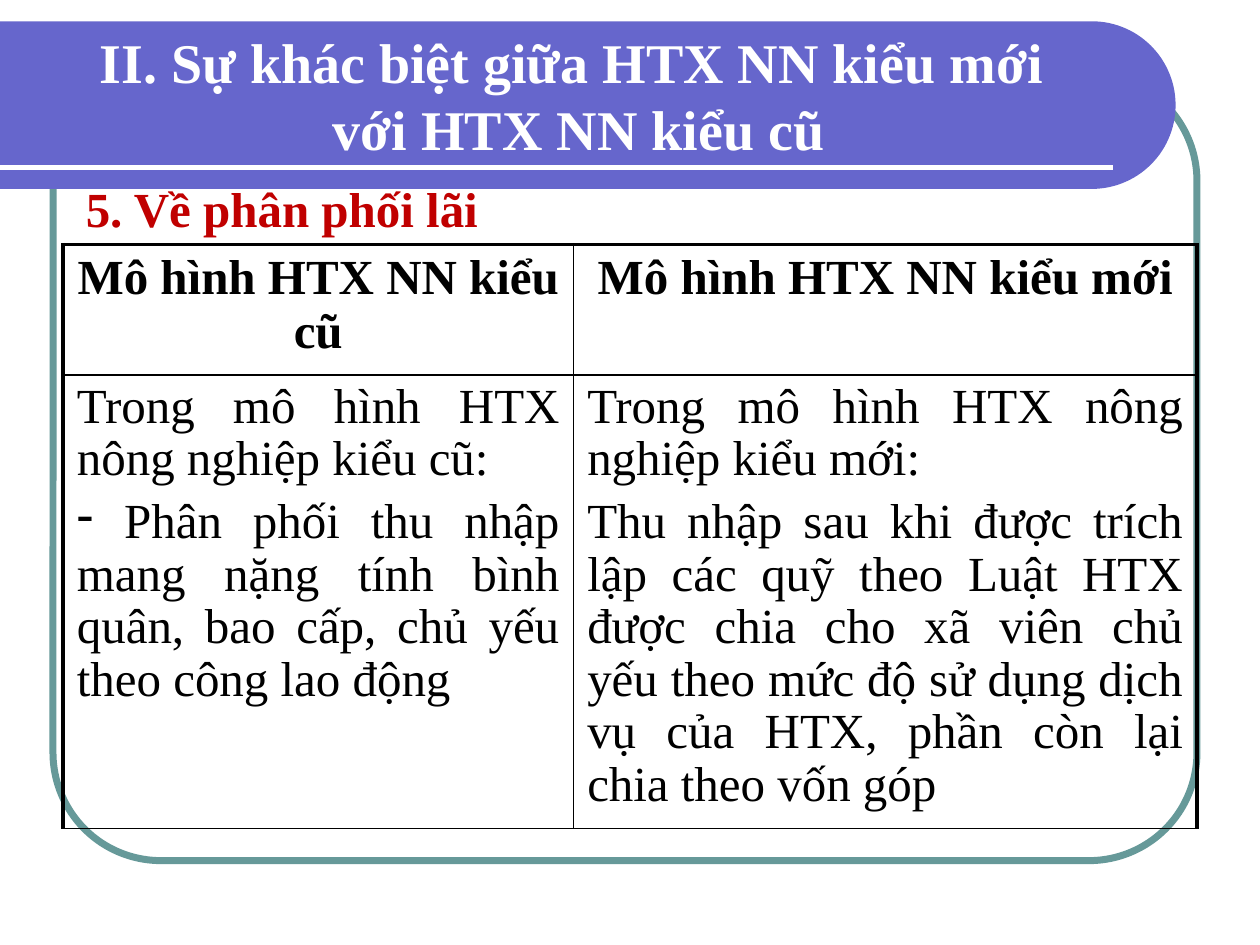
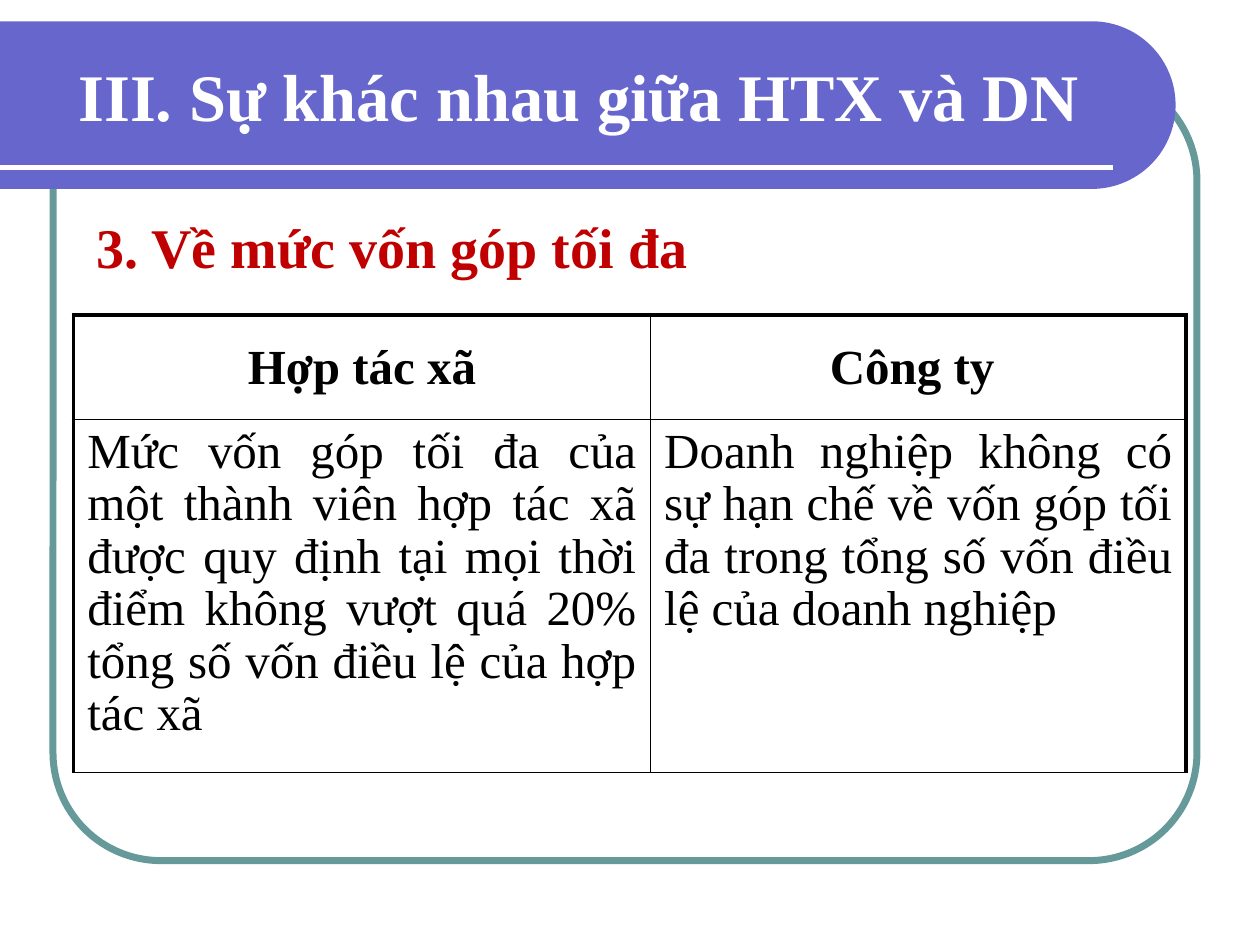
import math
from lxml import etree
from pptx import Presentation
from pptx.dml.color import RGBColor
from pptx.enum import shapes, text
from pptx.oxml import ns
from pptx.util import Cm, Pt

FONT = "Times New Roman"
WHITE = RGBColor(0xFF, 0xFF, 0xFF)
BLACK = RGBColor(0, 0, 0)
RED = RGBColor(0xC0, 0, 0)
VIOLET = RGBColor(0x66, 0x66, 0xCC)
TEAL = RGBColor(0x66, 0x99, 0x99)
CENTER, JUSTIFY = text.PP_ALIGN.CENTER, text.PP_ALIGN.JUSTIFY

# Content: lengths in cm, sizes in points; "\v" breaks a line
SLIDES = [
    {
        "title": "II. Sự khác biệt giữa HTX NN kiểu mới \vvới HTX NN kiểu cũ",
        "title_size": 32,
        "heading": "5. Về phân phối lãi",
        "heading_size": 28,
        "heading_box": (1.48, 3.6, 22.01, 12.7),
        "table_at": (1.27, 4.93),
        "cols": (10.29, 12.57),
        "rows": (2.62, 9.14),
        "header_style": {},
        "header_top": 0.13,
        "headers": ["Mô hình HTX NN kiểu cũ", "Mô hình HTX NN kiểu mới"],
        "bodies": [
            ["Trong mô hình HTX nông nghiệp kiểu cũ:",
             "- Phân phối thu nhập mang nặng tính bình quân, bao cấp, "
             "chủ yếu theo công lao động"],
            ["Trong mô hình HTX nông nghiệp kiểu mới:",
             "Thu nhập sau khi được trích lập các quỹ theo Luật HTX được chia "
             "cho xã viên chủ yếu theo mức độ sử dụng dịch vụ của HTX, "
             "phần còn lại chia theo vốn góp"],
        ],
    },
    {
        "title": "III. Sự khác nhau giữa HTX và DN",
        "title_size": 38,
        "heading": "3. Về mức vốn góp tối đa",
        "heading_size": 32,
        "heading_box": (1.69, 4.45, 22.01, 12.28),
        "table_at": (1.48, 6.35),
        "cols": (11.63, 10.8),
        "rows": (2.11, 7.11),
        "header_style": {"spacing": 18, "before": 6},
        "header_top": 0.97,
        "headers": ["Hợp tác xã", "Công ty "],
        "bodies": [
            ["Mức vốn góp tối đa của một thành viên hợp tác xã được quy định "
             "tại mọi thời điểm không vượt quá 20% tổng số vốn điều lệ của "
             "hợp tác xã "],
            ["Doanh nghiệp không có sự hạn chế về vốn góp tối đa trong tổng "
             "số vốn điều lệ của doanh nghiệp"],
        ],
    },
]


def write(tf, lines, size, color, align, bold=True, spacing=None, before=None):
    """Fill a text frame; a leading "-" becomes the paragraph's bullet."""
    tf.word_wrap = True
    for i, line in enumerate(lines):
        p = tf.add_paragraph() if i else tf.paragraphs[0]
        p.text = line.removeprefix("-")
        p.alignment = align
        if spacing:
            p.line_spacing = Pt(spacing)
        if before:
            p.space_before = Pt(before)
        if line.startswith("-"):
            pPr = p._p.get_or_add_pPr()
            etree.SubElement(pPr, ns.qn("a:buChar")).set("char", "-")
        for r in p.runs:
            r.font.name, r.font.size, r.font.bold = FONT, Pt(size), bold
            r.font.color.rgb = color


def add_text(s, box, *args, **style):
    tf = s.shapes.add_textbox(*map(Cm, box)).text_frame
    write(tf, *args, **style)
    return tf


def add_frame(s):
    # Rounded outline
    sp = s.shapes.add_shape(shapes.MSO_SHAPE.ROUNDED_RECTANGLE,
                            Cm(1.07), Cm(1.47), Cm(23.06), Cm(15.88))
    sp.adjustments[0] = 0.137
    sp.shadow.inherit = False
    sp.fill.background()
    sp.line.color.rgb, sp.line.width = TEAL, Pt(4)

    # Title band with a half-round right end
    top, radius, center_x = 0.43, 1.69, 22.01
    angles = [math.radians(a) for a in range(-90, 91, 3)]
    arc = [(Cm(center_x + radius * math.cos(a)),
            Cm(top + radius + radius * math.sin(a))) for a in angles]
    fb = s.shapes.build_freeform(0, Cm(top))
    fb.add_line_segments(arc + [(0, Cm(top + 2 * radius))], close=True)
    band = fb.convert_to_shape()
    band.shadow.inherit = False
    band.fill.solid()
    band.fill.fore_color.rgb = VIOLET
    band.line.fill.background()

    # Rule in the band
    rule = s.shapes.add_connector(shapes.MSO_CONNECTOR.STRAIGHT,
                                  0, Cm(3.38), Cm(22.43), Cm(3.38))
    rule.line.color.rgb, rule.line.width = WHITE, Pt(3)
    etree.SubElement(rule._element.spPr, ns.qn("a:effectLst"))


def set_borders(cell, widths):
    tcPr = cell._tc.get_or_add_tcPr()
    for side, width in widths.items():
        ln = etree.SubElement(tcPr, ns.qn("a:ln" + side), w=str(Pt(width)))
        fill = etree.SubElement(ln, ns.qn("a:solidFill"))
        etree.SubElement(fill, ns.qn("a:srgbClr"), val=str(BLACK))


def add_comparison(s, d):
    size = (sum(d["cols"]), sum(d["rows"]))
    table = s.shapes.add_table(2, 2, *map(Cm, d["table_at"] + size)).table
    table.first_row = table.horz_banding = False
    for i in range(2):
        table.columns[i].width = Cm(d["cols"][i])
        table.rows[i].height = Cm(d["rows"][i])
    for col in range(2):
        head, body = table.cell(0, col), table.cell(1, col)
        write(head.text_frame, [d["headers"][col]], 28, BLACK, CENTER,
              **d["header_style"])
        write(body.text_frame, d["bodies"][col], 28, BLACK, JUSTIFY,
              bold=False, spacing=30, before=6)
        for row, cell in enumerate((head, body)):
            cell.margin_left = cell.margin_right = Cm(0.28)
            cell.margin_top = Cm(0.13 if row else d["header_top"])
            # Heavy left, right and top edges, thin lines elsewhere
            set_borders(cell, {"L": 1 if col else 2.25, "R": 2.25 if col else 1,
                               "T": 1 if row else 2.25, "B": 1})
            cell.fill.background()


def main():
    prs = Presentation()
    prs.slide_width, prs.slide_height = Cm(25.4), Cm(19.05)
    for d in SLIDES:
        s = prs.slides.add_slide(prs.slide_layouts[6])
        add_frame(s)
        title = add_text(s, (0.53, 0.64, 22.28, 2.54), [d["title"]],
                         d["title_size"], WHITE, CENTER)
        title.vertical_anchor = text.MSO_ANCHOR.MIDDLE
        add_text(s, d["heading_box"], [d["heading"]], d["heading_size"], RED,
                 JUSTIFY, spacing=30, before=3)
        add_comparison(s, d)
    prs.save("out.pptx")


if __name__ == "__main__":
    main()
